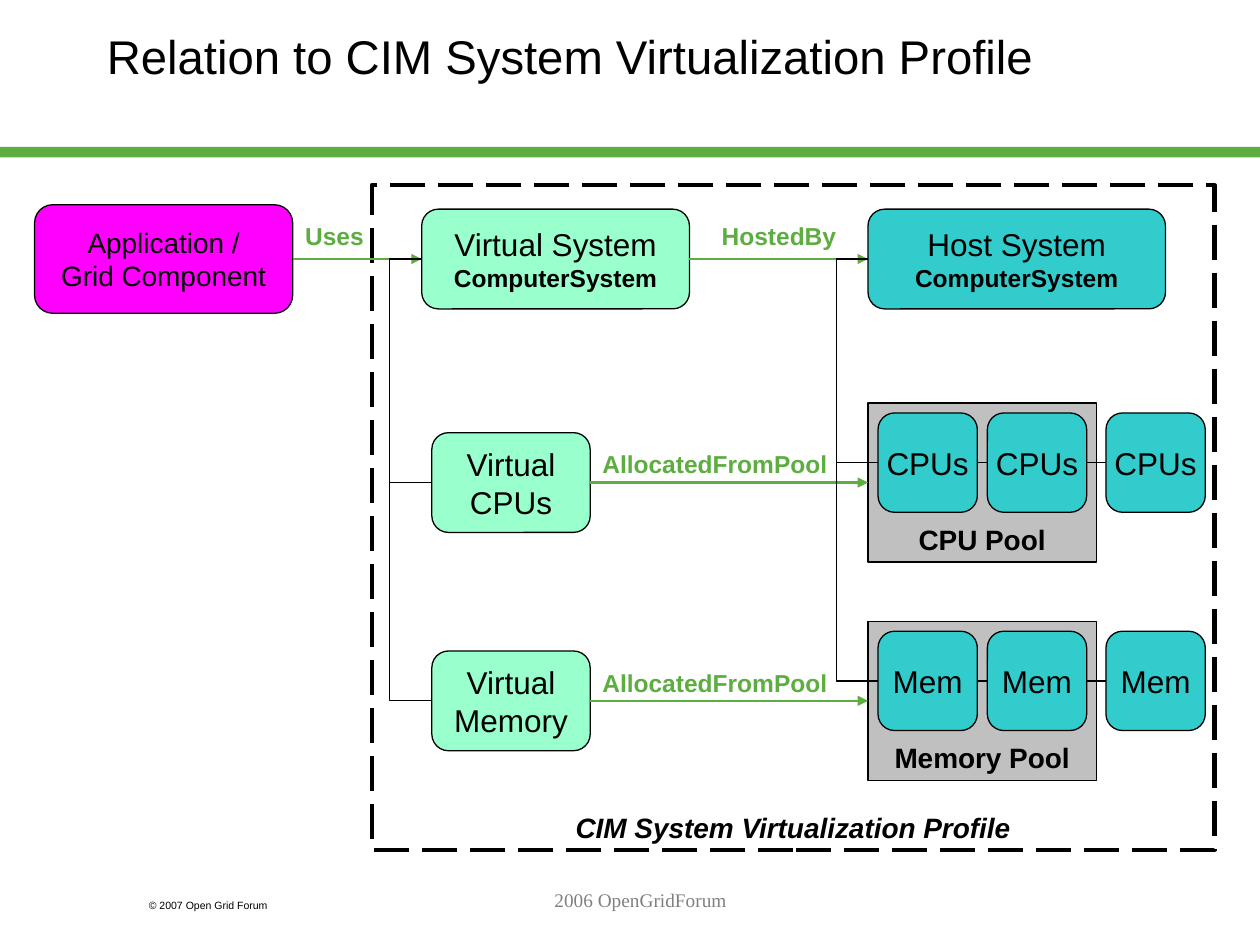
from lxml import etree
from pptx import Presentation
from pptx.dml.color import RGBColor
from pptx.enum import dml, shapes, text
from pptx.oxml.ns import qn
from pptx.util import Pt

BLACK = RGBColor(0x00, 0x00, 0x00)
GREEN = RGBColor(0x5D, 0xAD, 0x41)
GREY = RGBColor(0x80, 0x80, 0x80)
POOL_GREY = RGBColor(0xC0, 0xC0, 0xC0)
TEAL = RGBColor(0x33, 0xCC, 0xCC)
MINT = RGBColor(0x99, 0xFF, 0xCC)
MAGENTA = RGBColor(0xFF, 0x00, 0xFF)

RECTANGLE = shapes.MSO_SHAPE.RECTANGLE
ROUNDED = shapes.MSO_SHAPE.ROUNDED_RECTANGLE
TOP, MIDDLE, BOTTOM = text.MSO_ANCHOR.TOP, text.MSO_ANCHOR.MIDDLE, text.MSO_ANCHOR.BOTTOM
LEFT, CENTER, RIGHT = text.PP_ALIGN.LEFT, text.PP_ALIGN.CENTER, text.PP_ALIGN.RIGHT
LEFT_SIDE, RIGHT_SIDE = 1, 3

presentation = Presentation()
presentation.slide_width = Pt(720)
presentation.slide_height = Pt(540)
slide = presentation.slides.add_slide(presentation.slide_layouts[6])


def add_box(preset, bounds, lines, fill=None, anchor=MIDDLE, align=CENTER,
            color=BLACK, font="Arial", wrap=False):
    """Add a shape, or a text box if preset is None; lines are (text, size, bold)."""
    bounds = [Pt(length) for length in bounds]
    if preset is None:
        shape = slide.shapes.add_textbox(*bounds)
    else:
        shape = slide.shapes.add_shape(preset, *bounds)
        shape.shadow.inherit = False
        shape.line.color.rgb = BLACK
        shape.line.width = Pt(0.75)
        if fill is None:
            shape.fill.background()
        else:
            shape.fill.solid()
            shape.fill.fore_color.rgb = fill
    frame = shape.text_frame
    frame.word_wrap = wrap
    frame.vertical_anchor = anchor
    for index, (words, size, bold) in enumerate(lines):
        paragraph = frame.paragraphs[0] if index == 0 else frame.add_paragraph()
        paragraph.alignment = align
        run = paragraph.add_run()
        run.text = words
        run.font.name = font
        run.font.size = Pt(size)
        run.font.bold = bold
        run.font.color.rgb = color
    return shape


def add_link(source, source_side, target, rail=None):
    """Join source to target's left side: a green arrow, or an elbow bent at x = rail."""
    kind = shapes.MSO_CONNECTOR.STRAIGHT if rail is None else shapes.MSO_CONNECTOR.ELBOW
    link = slide.shapes.add_connector(kind, 0, 0, 0, 0)
    link.begin_connect(source, source_side)
    link.end_connect(target, LEFT_SIDE)
    link.line.color.rgb = GREEN if rail is None else BLACK
    link.line.width = Pt(1.5 if rail is None else 0.75)
    properties = link._element.spPr
    etree.SubElement(properties, qn("a:effectLst"))
    if rail is None:
        etree.SubElement(link.line._get_or_add_ln(), qn("a:tailEnd"), type="triangle")
    else:
        bend = round(100000 * (Pt(rail) - link.begin_x) / (link.end_x - link.begin_x))
        adjustments = properties.find(qn("a:prstGeom")).get_or_add_avLst()
        etree.SubElement(adjustments, qn("a:gd"), name="adj1", fmla=f"val {bend}")


# Title, rule and footers
rule = add_box(RECTANGLE, (0, 84, 720, 6), [], GREEN)
rule.line.fill.background()
add_box(None, (54, 12, 612, 90), [("Relation to CIM System Virtualization Profile", 27, False)],
        anchor=TOP, align=LEFT, wrap=True)
add_box(None, (78, 510, 108, 14.5), [("© 2007 Open Grid Forum", 6, False)],
        anchor=TOP, align=LEFT, wrap=True)
add_box(None, (156, 504, 420, 36), [("2006 OpenGridForum", 11, False)],
        anchor=TOP, color=GREY, font="Times New Roman", wrap=True)

# Profile boundary
profile = add_box(RECTANGLE, (212.5, 105.75, 481.5, 380),
                  [("CIM System Virtualization Profile", 16, True)], anchor=BOTTOM)
profile.line.width = Pt(2.5)
profile.line.dash_style = dml.MSO_LINE.LONG_DASH
profile.text_frame.paragraphs[0].runs[0].font.italic = True

# Systems
host = add_box(ROUNDED, (496, 119.5, 170, 57),
               [("Host System", 18, False), ("ComputerSystem", 14, True)], TEAL)
virtual_system = add_box(ROUNDED, (241, 119.5, 153, 57),
                         [("Virtual System", 18, False), ("ComputerSystem", 14, True)], MINT)
application = add_box(ROUNDED, (19.75, 117, 147.5, 62),
                      [("Application /", 16, False), ("Grid Component", 16, False)], MAGENTA)
add_link(application, RIGHT_SIDE, virtual_system)
add_link(virtual_system, RIGHT_SIDE, host)

# Resources and their pools
for row, (resource, unit, pool_name) in enumerate(
        [("CPUs", "CPUs", "CPU Pool"), ("Memory", "Mem", "Memory Pool")]):
    center = 275.75 + 124.75 * row
    unit_size = 56.75
    unit_top = center - 39.75
    unit_label = [(unit, 18, False)]
    pool = add_box(RECTANGLE, (496, center - 45.5, 130.5, 91), [(pool_name, 16, True)],
                   POOL_GREY, BOTTOM)
    virtual_resource = add_box(ROUNDED, (246.75, center - 28.5, 90.5, 57),
                               [("Virtual", 18, False), (resource, 18, False)], MINT)
    outside_unit = add_box(ROUNDED, (632, unit_top, unit_size, unit_size), unit_label, TEAL)
    add_link(virtual_system, LEFT_SIDE, virtual_resource, rail=222.5)
    add_link(host, LEFT_SIDE, outside_unit, rail=478)
    add_link(virtual_resource, RIGHT_SIDE, pool)
    for column in range(2):
        add_box(ROUNDED, (501.75 + 62.5 * column, unit_top, unit_size, unit_size),
                unit_label, TEAL)

# Relation labels
for label, left, top, width in [("Uses", 161, 122.5, 54), ("HostedBy", 401, 122.5, 84),
                                ("AllocatedFromPool", 333, 253, 147),
                                ("AllocatedFromPool", 333, 378, 147)]:
    add_box(None, (left, top, width, 24.5), [(label, 14, True)],
            anchor=TOP, align=RIGHT, color=GREEN)

presentation.save("out.pptx")
